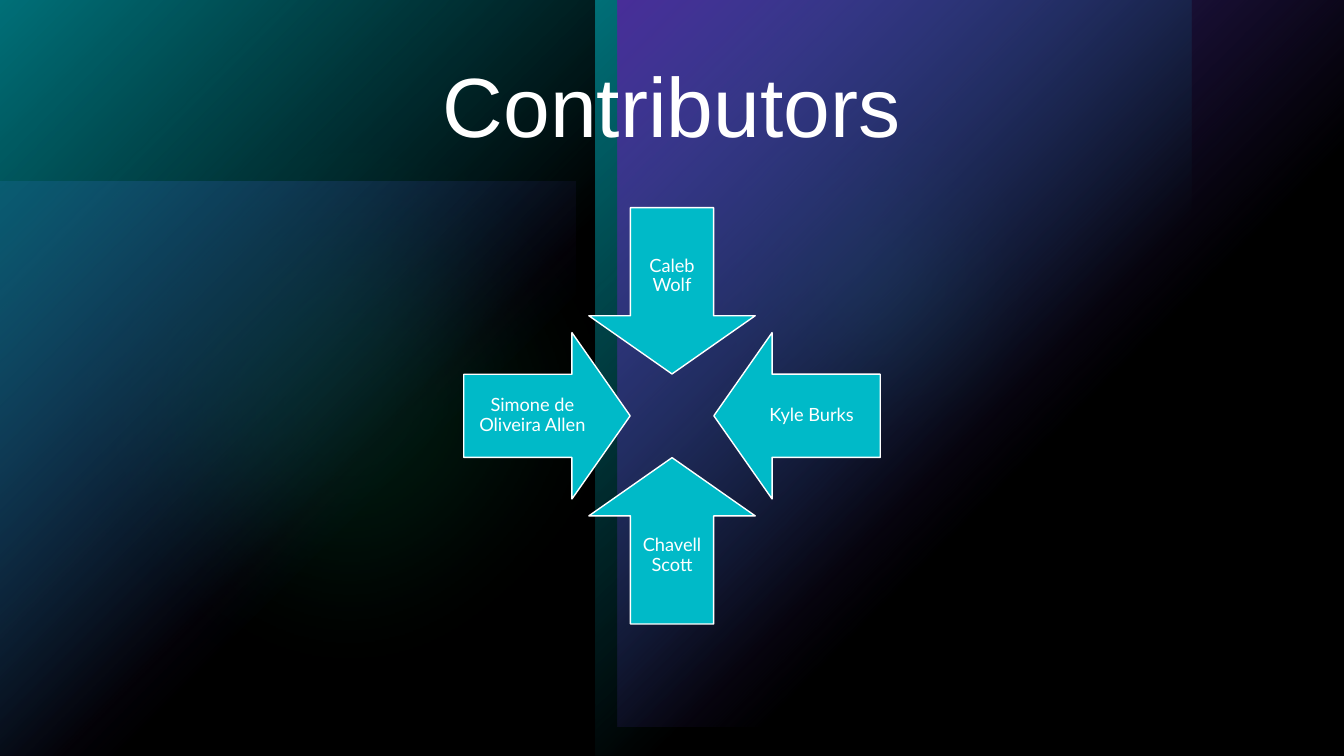
from dataclasses import dataclass

from lxml.etree import SubElement
from pptx import Presentation
from pptx.dml.color import RGBColor
from pptx.enum.shapes import MSO_SHAPE as Preset
from pptx.enum.text import MSO_ANCHOR as Anchor, PP_ALIGN as Align
from pptx.oxml.ns import qn
from pptx.util import Inches, Pt


@dataclass(frozen=True)
class Theme:
    black: RGBColor = RGBColor(0, 0, 0)
    white: RGBColor = RGBColor(255, 255, 255)
    teal: RGBColor = RGBColor.from_string("00BAC8")
    violet: RGBColor = RGBColor.from_string("794DFF")
    green: RGBColor = RGBColor.from_string("00D17D")
    title_font: str = "Arial"
    name_font: str = "Lato"
    title_size: int = 60
    name_size: int = 13


THEME = Theme()
WIDTH, HEIGHT = 13.33, 7.5

# Arrow ring: all arrows point at one centre
CENTRE_X, CENTRE_Y = 6.665, 4.125
ARROW_SIZE = 1.65
ARROW_OFFSET = 1.24
NAME_LENGTH, NAME_WIDTH = 1.36, 0.82
NAME_OFFSET = ARROW_OFFSET + (ARROW_SIZE - NAME_LENGTH) / 2

# Name, direction from the centre, arrow rotation
CONTRIBUTORS = [
    ("Caleb Wolf", (0, -1), 0),
    ("Kyle Burks", (1, 0), 90),
    ("Chavell Scott", (0, 1), 180),
    ("Simone de Oliveira Allen", (-1, 0), 270),
]


def add_plain_shape(page, preset, left, top, width, height):
    shape = page.shapes.add_shape(
        preset, Inches(left), Inches(top), Inches(width), Inches(height))
    shape.shadow.inherit = False
    shape.line.fill.background()
    return shape


def set_opacity(shape, *percents):
    """Apply one opacity to each fill colour, in order."""
    colours = list(shape._element.spPr.iter(qn("a:srgbClr")))
    for colour, percent in zip(colours, percents):
        SubElement(colour, qn("a:alpha")).set("val", str(percent * 1000))


def add_fading_panel(page, colour, opacity, *place):
    """Rectangle that fades out from its top left corner."""
    panel = add_plain_shape(page, Preset.RECTANGLE, *place)
    panel.fill.gradient()
    panel.fill.gradient_angle = 315
    for stop, position in zip(panel.fill.gradient_stops, (0, 0.6)):
        stop.color.rgb = colour
        stop.position = position
    set_opacity(panel, opacity, 0)


def add_tint(page, preset, colour, opacity, *place):
    tint = add_plain_shape(page, preset, *place)
    tint.fill.solid()
    tint.fill.fore_color.rgb = colour
    set_opacity(tint, opacity)
    return tint


def add_glow(page, opacity, left, top, size):
    glow = add_tint(page, Preset.OVAL, THEME.green, opacity, left, top, size, size)
    effects = glow._element.spPr.find(qn("a:effectLst"))
    SubElement(effects, qn("a:softEdge")).set("rad", str(Pt(100)))


def add_text(page, text, place, font, size, anchor, inset):
    box = page.shapes.add_textbox(*(Inches(length) for length in place))
    frame = box.text_frame
    frame.word_wrap = True
    frame.vertical_anchor = anchor
    frame.margin_left = frame.margin_right = Inches(0.1)
    frame.margin_top = frame.margin_bottom = Inches(inset)
    para = frame.paragraphs[0]
    para.text = text
    para.alignment = Align.CENTER
    para.line_spacing = 0.9
    para.font.name = font
    para.font.size = Pt(size)
    para.font.color.rgb = THEME.white


def add_contributor(page, name, direction, rotation):
    across, down = direction
    arrow = add_plain_shape(
        page, Preset.DOWN_ARROW,
        CENTRE_X + across * ARROW_OFFSET - ARROW_SIZE / 2,
        CENTRE_Y + down * ARROW_OFFSET - ARROW_SIZE / 2,
        ARROW_SIZE, ARROW_SIZE)
    arrow.adjustments[0] = 0.5
    arrow.adjustments[1] = 0.35
    arrow.rotation = rotation
    arrow.fill.solid()
    arrow.fill.fore_color.rgb = THEME.teal
    arrow.line.color.rgb = THEME.white
    arrow.line.width = Pt(1)

    # The name stays upright over the arrow's shaft
    width, height = (NAME_LENGTH, NAME_WIDTH) if across else (NAME_WIDTH, NAME_LENGTH)
    place = (CENTRE_X + across * NAME_OFFSET - width / 2,
             CENTRE_Y + down * NAME_OFFSET - height / 2, width, height)
    add_text(page, name, place, THEME.name_font, THEME.name_size, Anchor.MIDDLE, 0.1)


def add_backdrop(page):
    page.background.fill.solid()
    page.background.fill.fore_color.rgb = THEME.black
    add_fading_panel(page, THEME.violet, 60, 0, 1.8, 5.71, 5.71)
    add_glow(page, 60, 6.29, 0.43, 4.72)
    add_glow(page, 20, 0, 0.56, 6.94)
    for left in (0, 5.91):
        add_fading_panel(page, THEME.teal, 100, left, 0, 5.91, HEIGHT)
    add_fading_panel(page, THEME.violet, 100, 6.13, 0, 7.21, 7.21)
    add_tint(page, Preset.RECTANGLE, THEME.black, 40, 0, 0, WIDTH, HEIGHT)


def main():
    deck = Presentation()
    deck.slide_width, deck.slide_height = Inches(WIDTH), Inches(HEIGHT)
    page = deck.slides.add_slide(deck.slide_layouts[6])
    add_backdrop(page)
    add_text(page, "Contributors", (0.59, 0.59, 12.14, 1.98),
             THEME.title_font, THEME.title_size, Anchor.TOP, 0.05)
    for contributor in CONTRIBUTORS:
        add_contributor(page, *contributor)
    deck.save("out.pptx")


if __name__ == "__main__":
    main()
